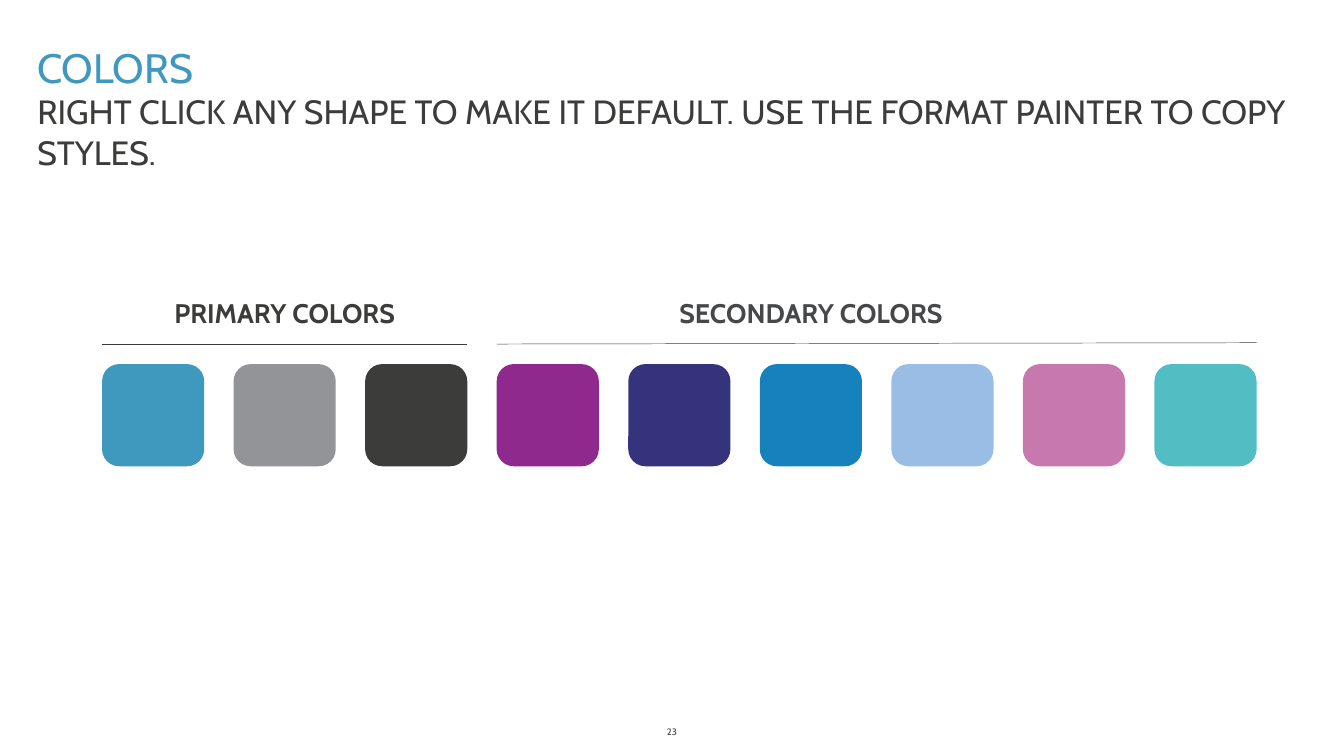
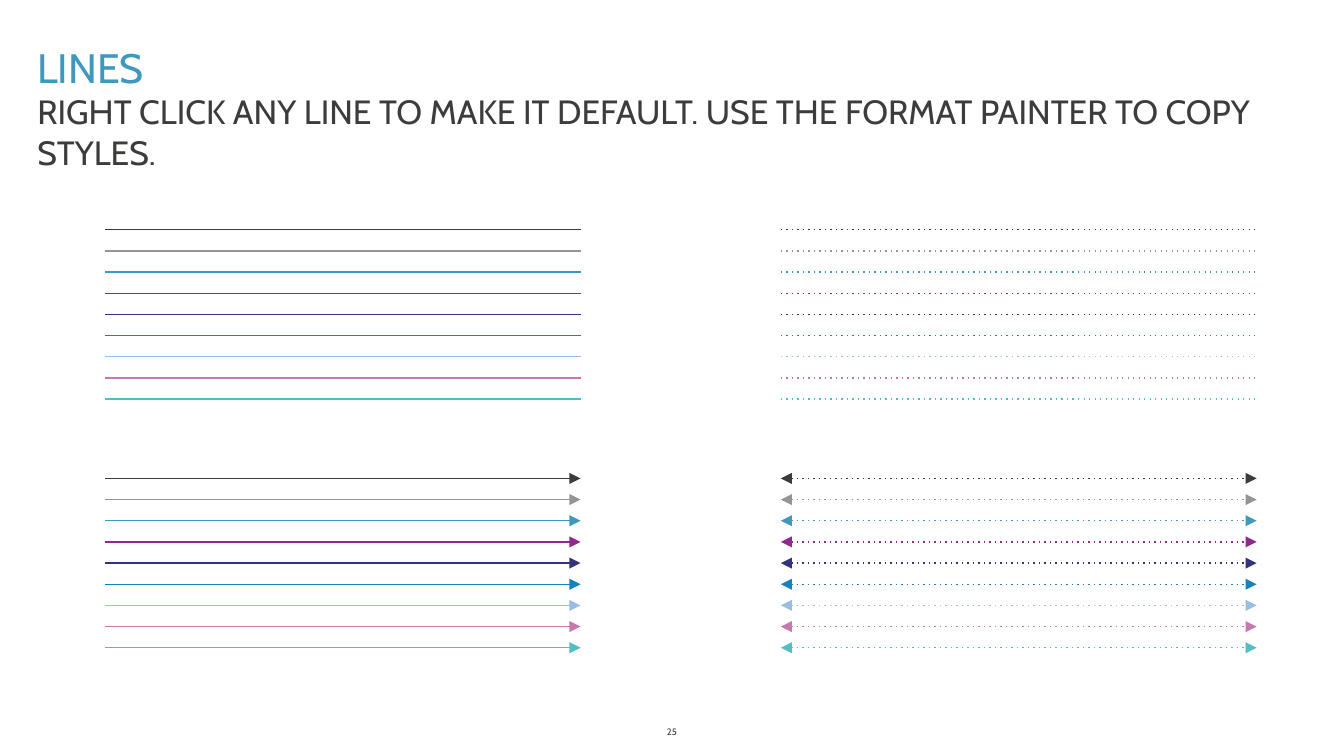
"""Build the color palette and line style slides of a style guide."""
from dataclasses import dataclass

from lxml.etree import SubElement
from pptx import Presentation
from pptx.dml.color import RGBColor
from pptx.enum.shapes import MSO_CONNECTOR as Connector, MSO_SHAPE as Shape
from pptx.enum.text import MSO_ANCHOR as Anchor, PP_ALIGN as Align
from pptx.oxml.ns import qn
from pptx.util import Inches, Pt


@dataclass(frozen=True)
class Theme:
    width: float = 10
    height: float = 10 * 9 / 16
    font: str = "Cabin"
    accent: str = "3F98BD"
    ink: str = "3C3C3B"
    soft_ink: str = "464749"
    title_size: float = 22
    body_size: float = 18
    label_size: float = 14.4
    number_size: float = 5
    hairline: float = 0.25
    line: float = 0.75


THEME = Theme()
PRIMARY = [THEME.accent, "929497", THEME.ink]
SECONDARY = ["90298D", "36337D", "1582BE", "99BDE4", "C778AD", "52BDC2"]
ADVICE = "RIGHT CLICK ANY {} TO MAKE IT DEFAULT. USE THE FORMAT PAINTER TO COPY STYLES."

COLORS = {"title": "COLORS", "thing": "SHAPE", "number": "23"}
LINES = {"title": "LINES", "thing": "LINE", "number": "25"}

# label, first column, columns under the rule, columns under the label, ink, rise of the rule
GROUPS = [
    ("PRIMARY COLORS", 0, 3, 3, THEME.ink, 0),
    ("SECONDARY COLORS", 3, 6, 5, THEME.soft_ink, 0.01),
]
# left, top, dash, arrowheads
LINE_SETS = [
    (0.78, 1.71, None, ()),
    (5.81, 1.71, "dot", ()),
    (0.78, 3.56, None, ("tailEnd",)),
    (5.81, 3.56, "dot", ("headEnd", "tailEnd")),
]
LINE_LENGTH, LINE_SET_HEIGHT = 3.54, 1.26
GRID_LEFT, GRID_RIGHT, SWATCH = 0.76, 9.35, 0.76
LABEL_TOP, RULE_TOP, SWATCH_TOP = 2.16, 2.56, 2.71


def add_text(page, text, area, size, color, align=Align.LEFT, anchor=Anchor.TOP, bold=False):
    box = page.shapes.add_textbox(*map(Inches, area))
    frame = box.text_frame
    frame.word_wrap = True
    frame.vertical_anchor = anchor
    para = frame.paragraphs[0]
    para.text = text
    para.alignment = align
    para.font.name = THEME.font
    para.font.size = Pt(size)
    para.font.bold = bold
    para.font.color.rgb = RGBColor.from_string(color)


def add_line(page, start, end, color, weight, dash=None, heads=()):
    line = page.shapes.add_connector(Connector.STRAIGHT, *map(Inches, (*start, *end)))
    line.line.color.rgb = RGBColor.from_string(color)
    line.line.width = Pt(weight)
    outline = line.line._get_or_add_ln()
    if dash:
        SubElement(outline, qn("a:prstDash"), val=dash)
    for head in heads:
        SubElement(outline, qn(f"a:{head}"), type="triangle")
    SubElement(line._element.spPr, qn("a:effectLst"))


def add_page(deck, content):
    page = deck.slides.add_slide(deck.slide_layouts[6])
    add_text(page, content["title"], (0.18, 0.26, 9.57, 0.47),
             THEME.title_size, THEME.accent, anchor=Anchor.BOTTOM)
    add_text(page, ADVICE.format(content["thing"]), (0.18, 0.63, 9.57, 0.71),
             THEME.body_size, THEME.ink)
    add_text(page, content["number"], (4.53, 5.35, 0.94, 0.19),
             THEME.number_size, THEME.ink, Align.CENTER, Anchor.MIDDLE)
    return page


def draw_colors(page):
    palette = PRIMARY + SECONDARY
    pitch = (GRID_RIGHT - GRID_LEFT - SWATCH) / (len(palette) - 1)
    for column, color in enumerate(palette):
        area = (GRID_LEFT + column * pitch, SWATCH_TOP, SWATCH, SWATCH)
        swatch = page.shapes.add_shape(Shape.ROUNDED_RECTANGLE, *map(Inches, area))
        swatch.shadow.inherit = False
        swatch.fill.solid()
        swatch.fill.fore_color.rgb = RGBColor.from_string(color)
        swatch.line.fill.background()
    for label, first, rule_columns, label_columns, color, rise in GROUPS:
        left = GRID_LEFT + first * pitch
        rule_width, label_width = ((count - 1) * pitch + SWATCH
                                   for count in (rule_columns, label_columns))
        add_line(page, (left, RULE_TOP), (left + rule_width, RULE_TOP - rise),
                 THEME.ink, THEME.hairline)
        add_text(page, label, (left, LABEL_TOP, label_width, 0.34),
                 THEME.label_size, color, Align.CENTER, bold=True)


def draw_lines(page):
    palette = PRIMARY[::-1] + SECONDARY
    pitch = LINE_SET_HEIGHT / (len(palette) - 1)
    for left, top, dash, heads in LINE_SETS:
        for row, color in enumerate(palette):
            y = top + row * pitch
            add_line(page, (left, y), (left + LINE_LENGTH, y), color, THEME.line, dash, heads)


def main():
    deck = Presentation()
    deck.slide_width, deck.slide_height = Inches(THEME.width), Inches(THEME.height)
    draw_colors(add_page(deck, COLORS))
    draw_lines(add_page(deck, LINES))
    deck.save("out.pptx")


if __name__ == "__main__":
    main()
